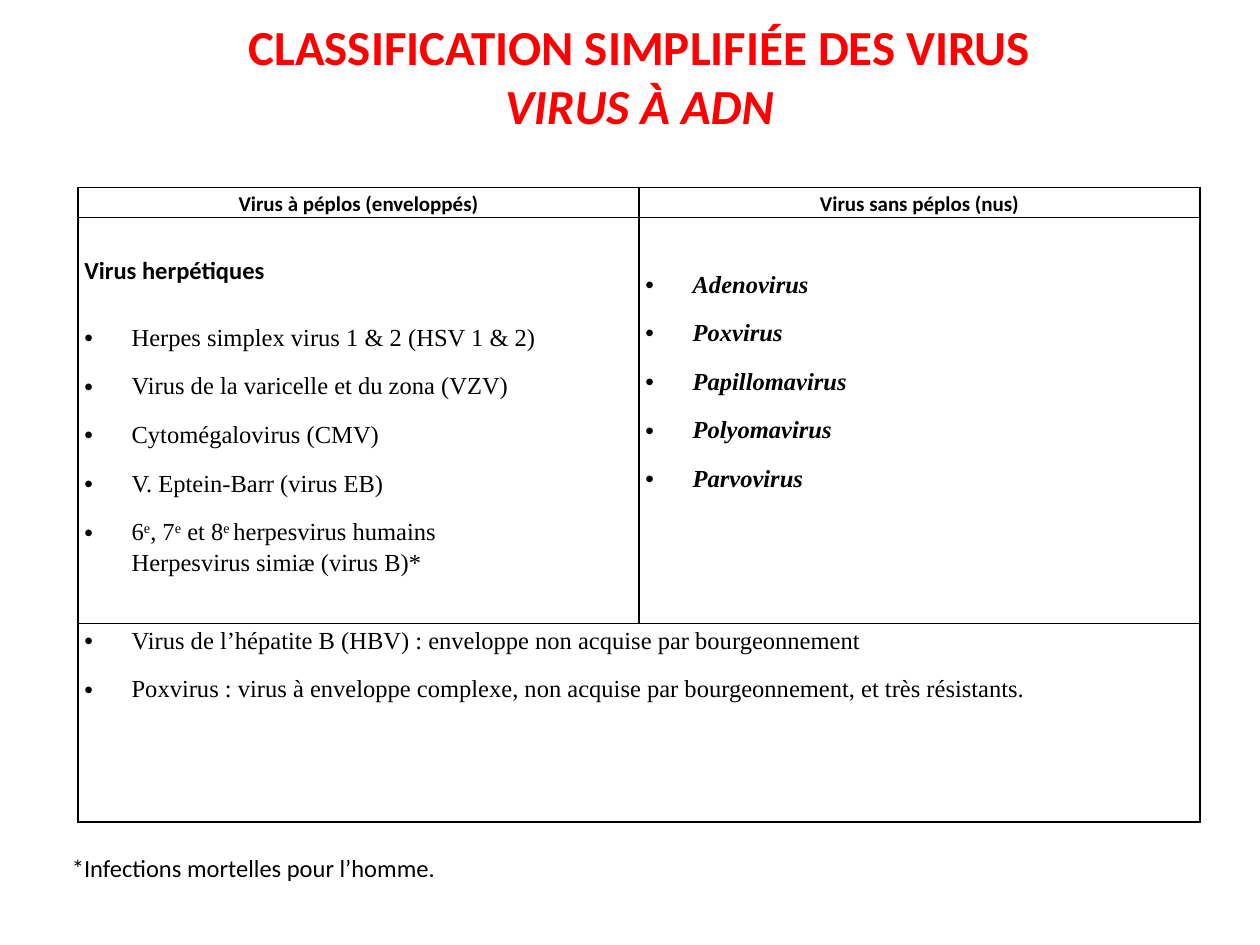
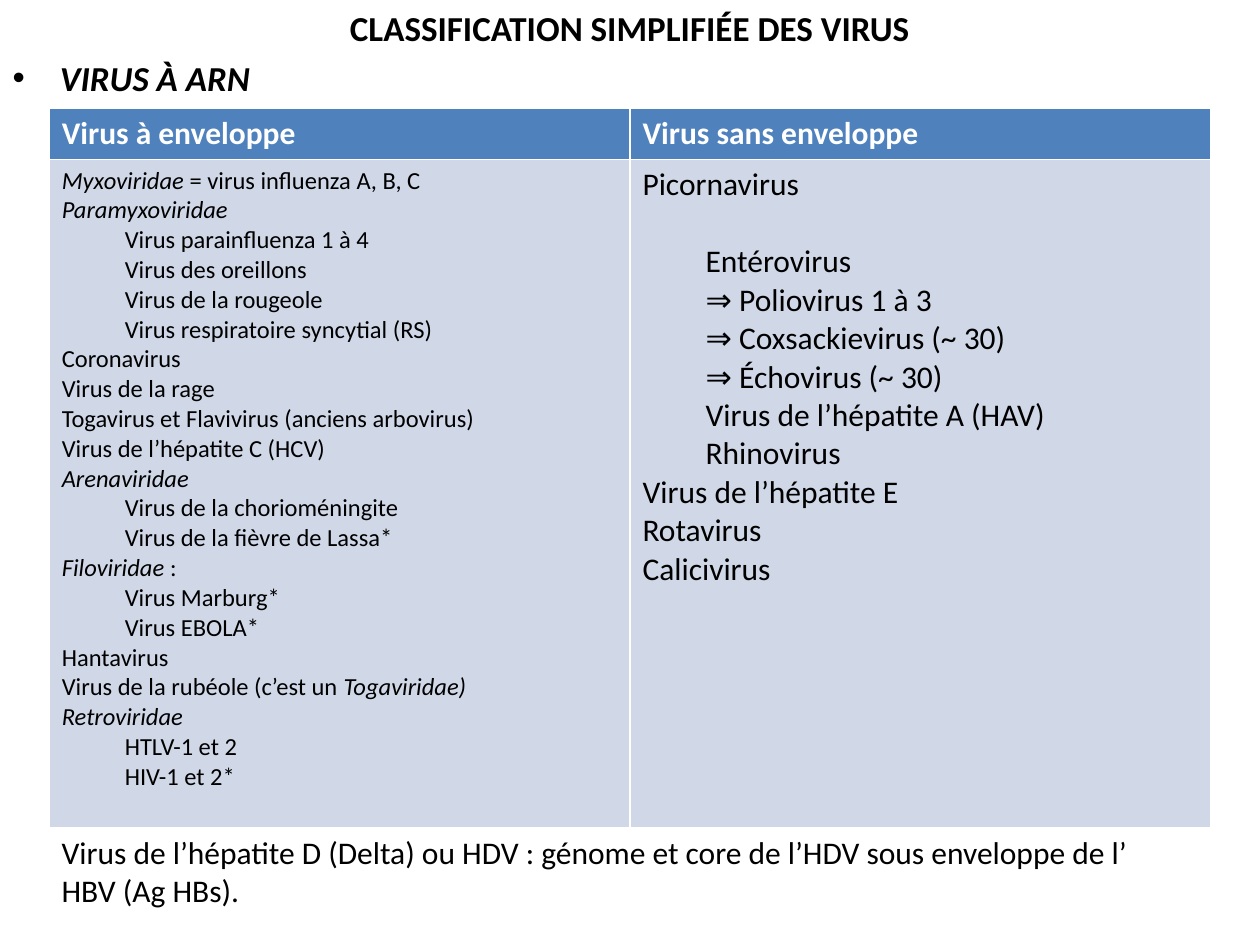
from dataclasses import dataclass, field, replace
from typing import Any

from lxml.etree import SubElement
from pptx import Presentation
from pptx.dml.color import RGBColor
from pptx.enum.text import MSO_ANCHOR, MSO_AUTO_SIZE, PP_ALIGN
from pptx.oxml.ns import qn
from pptx.util import Pt

# Shared colours, fonts and measures
RED, BLACK, WHITE = "FF0000", "000000", "FFFFFF"
BLUE, PALE = "4F81BD", "D0D8E8"
SANS, SERIF = "Calibri", "Times New Roman"
HANG, STEP = 27, 36
HEAD = "CLASSIFICATION SIMPLIFIÉE DES VIRUS"
MID = {"alignment": PP_ALIGN.CENTER}
LOOSE = {"line_spacing": 1.15}
ITEM = {"line_spacing": 1.15, "space_after": Pt(10)}


@dataclass(frozen=True)
class Style:
    """Look of a paragraph; in its text _x_ flips italics and ^x^ is raised."""
    size: float
    bold: bool = False
    italic: bool = False
    name: str = SANS
    color: str = BLACK
    left: float = 0
    bullet: bool = False
    level: int = 0
    para: dict[str, Any] = field(default_factory=dict)


@dataclass(frozen=True)
class Line:
    text: str
    style: Style


@dataclass(frozen=True)
class Box:
    left: float
    top: float
    width: float
    height: float

    def points(self) -> list[Pt]:
        return [Pt(v) for v in (self.left, self.top, self.width, self.height)]


@dataclass(frozen=True)
class Cell:
    lines: list[Line]
    fill: str = ""
    top: float = 0


@dataclass(frozen=True)
class Grid:
    left: float
    top: float
    col: float
    rows: list[float]
    edge: str
    side: float


def rgb(code: str) -> RGBColor:
    return RGBColor.from_string(code)


def put(item: Any, values: dict[str, Any]) -> None:
    for key, value in values.items():
        setattr(item, key, value)


def lines(style: Style, *texts: str) -> list[Line]:
    return [Line(text, style) for text in texts]


# Text
def add_run(para: Any, text: str, style: Style, flip: bool, high: bool) -> None:
    run = para.add_run()
    run.text = text
    put(run.font, {"size": Pt(style.size), "bold": style.bold,
                   "italic": style.italic != flip, "name": style.name})
    run.font.color.rgb = rgb(style.color)
    if high:
        run.font._element.set("baseline", "30000")


def write_line(para: Any, line: Line) -> None:
    style = line.style
    prop = para._p.get_or_add_pPr()
    prop.set("marL", str(Pt(style.left)))
    prop.set("indent", str(-Pt(style.left) if style.bullet else 0))
    if style.bullet:
        SubElement(prop, qn("a:buFont"), typeface="Arial")
        SubElement(prop, qn("a:buChar"), char="•")
    put(para, {"level": style.level, **style.para})
    for row, text in enumerate(line.text.split("\n")):
        if row:
            para.add_line_break()
        for i, part in enumerate(text.split("_")):
            for j, piece in enumerate(part.split("^")):
                if piece:
                    add_run(para, piece, style, i % 2 == 1, j % 2 == 1)


def write(frame: Any, content: list[Line]) -> None:
    for i, line in enumerate(content):
        write_line(frame.add_paragraph() if i else frame.paragraphs[0], line)


def place(shape: Any, box: Box, content: list[Line]) -> None:
    put(shape, dict(zip(("left", "top", "width", "height"), box.points())))
    put(shape.text_frame, {"word_wrap": True, "auto_size": MSO_AUTO_SIZE.NONE,
                           "vertical_anchor": MSO_ANCHOR.TOP})
    write(shape.text_frame, content)


def add_note(slide: Any, box: Box, text: str, size: float) -> None:
    shape = slide.shapes.add_textbox(*box.points())
    place(shape, box, lines(Style(size), text))


# Tables
def edge_cell(cell: Any, color: str) -> None:
    prop = cell._tc.get_or_add_tcPr()
    for i, side in enumerate(("lnL", "lnR", "lnT", "lnB")):
        edge = prop.makeelement(qn(f"a:{side}"), {"w": str(Pt(1))})
        paint = SubElement(edge, qn("a:solidFill"))
        SubElement(paint, qn("a:srgbClr"), val=color)
        prop.insert(i, edge)


def add_grid(slide: Any, grid: Grid, cells: list[list[Cell]]) -> None:
    box = Box(grid.left, grid.top, 2 * grid.col, sum(grid.rows))
    table = slide.shapes.add_table(len(grid.rows), 2, *box.points()).table
    put(table, {"first_row": True, "horz_banding": False})
    for col in table.columns:
        col.width = Pt(grid.col)
    for r, (high, row) in enumerate(zip(grid.rows, cells)):
        table.rows[r].height = Pt(high)
        if len(row) == 1:
            table.cell(r, 0).merge(table.cell(r, 1))
        for c in range(2):
            cell = table.cell(r, c)
            if c < len(row):
                fill_cell(cell, row[c], grid.side)
            else:
                cell.fill.background()
            edge_cell(cell, grid.edge)


def fill_cell(cell: Any, data: Cell, side: float) -> None:
    put(cell, {"margin_left": Pt(side), "margin_right": Pt(side),
               "margin_top": Pt(data.top), "margin_bottom": Pt(0)})
    if data.fill:
        cell.fill.solid()
        cell.fill.fore_color.rgb = rgb(data.fill)
    else:
        cell.fill.background()
    write(cell.text_frame, data.lines)


# Slide 1: DNA viruses
def dna_slide(deck: Any) -> None:
    slide = deck.slides.add_slide(deck.slide_layouts[5])
    title = Style(28, bold=True, color=RED, para=MID)
    place(slide.shapes.title, Box(44.6, 5.8, 641.5, 75),
          lines(title, HEAD, "_VIRUS À ADN_"))

    top = Style(12, bold=True, para=MID | LOOSE)
    group = Style(14, bold=True, para=LOOSE | {"space_after": Pt(19.7)})
    item = Style(14, name=SERIF, left=HANG, bullet=True, para=ITEM)
    herpes = lines(group, "Virus herpétiques") + lines(
        item,
        "Herpes simplex virus 1 & 2 (HSV 1 & 2)",
        "Virus de la varicelle et du zona (VZV)",
        "Cytomégalovirus (CMV)",
        "V. Eptein-Barr (virus EB)",
        "6^e^, 7^e^ et 8^e ^herpesvirus humains\nHerpesvirus simiæ (virus B)*")
    naked = lines(replace(item, bold=True, italic=True), "Adenovirus",
                  "Poxvirus", "Papillomavirus", "Polyomavirus", "Parvovirus")
    other = lines(
        item,
        "Virus de l’hépatite B (HBV) : enveloppe non acquise par bourgeonnement",
        "Poxvirus : virus à enveloppe complexe, non acquise par bourgeonnement, "
        "et très résistants.")
    add_grid(slide, Grid(44.6, 107.2, 320.6, [17, 232, 113.6], BLACK, 3.6), [
        [Cell(lines(top, "Virus à péplos (enveloppés)")),
         Cell(lines(top, "Virus sans péplos (nus)"))],
        [Cell(herpes, top=19.7), Cell(naked, top=28.5)],
        [Cell(other)]])
    add_note(slide, Box(34, 484, 360, 41),
             "*Infections mortelles pour l’homme.", 14)


# Slide 2: RNA viruses
def rna_slide(deck: Any) -> None:
    slide = deck.slides.add_slide(deck.slide_layouts[1])
    title = Style(20, bold=True, para=MID)
    place(slide.shapes.title, Box(0, 0, 720, 28.4), lines(title, HEAD))
    place(slide.placeholders[1], Box(0, 28.4, 720, 32),
          lines(Style(20, bold=True, italic=True, left=HANG, bullet=True),
                "VIRUS À ARN"))

    top = Style(18, bold=True, color=WHITE)
    main = Style(14)
    sub = replace(main, left=STEP, level=1)
    coated = [
        *lines(main, "_Myxoviridae_ = virus influenza A, B, C",
               "_Paramyxoviridae_"),
        *lines(sub, "Virus parainfluenza 1 à 4", "Virus des oreillons",
               "Virus de la rougeole", "Virus respiratoire syncytial (RS)"),
        *lines(main, "Coronavirus", "Virus de la rage",
               "Togavirus et Flavivirus (anciens arbovirus)",
               "Virus de l’hépatite C (HCV)", "_Arenaviridae_"),
        *lines(sub, "Virus de la chorioméningite",
               "Virus de la fièvre de Lassa*"),
        *lines(main, "_Filoviridae_ :"),
        *lines(sub, "Virus Marburg*", "Virus EBOLA*"),
        *lines(main, "Hantavirus",
               "Virus de la rubéole (c’est un _Togaviridae)_",
               "_Retroviridae_"),
        *lines(sub, "HTLV-1 et 2", "HIV-1 et 2*")]
    big, deep = replace(main, size=18), replace(sub, size=18)
    naked = [
        *lines(replace(big, para={"space_after": Pt(22)}), "Picornavirus"),
        *lines(deep, "Entérovirus\n⇒ Poliovirus 1 à 3\n"
               "⇒ Coxsackievirus (~ 30)\n⇒ Échovirus (~ 30)",
               "Virus de l’hépatite A (HAV)", "Rhinovirus"),
        *lines(big, "Virus de l’hépatite E", "Rotavirus", "Calicivirus")]
    add_grid(slide, Grid(28.1, 61.9, 331.9, [29.2, 382], WHITE, 7.2), [
        [Cell(lines(top, text), BLUE, 3.6)
         for text in ("Virus à enveloppe", "Virus sans enveloppe")],
        [Cell(content, PALE, 3.6) for content in (coated, naked)]])
    add_note(slide, Box(28.1, 472.3, 658, 51),
             "Virus de l’hépatite D (Delta) ou HDV : génome et core de l’HDV "
             "sous enveloppe de l’ HBV (Ag HBs).", 18)


def main() -> None:
    deck = Presentation()
    put(deck, {"slide_width": Pt(720), "slide_height": Pt(540)})
    dna_slide(deck)
    rna_slide(deck)
    deck.save("out.pptx")


if __name__ == "__main__":
    main()
